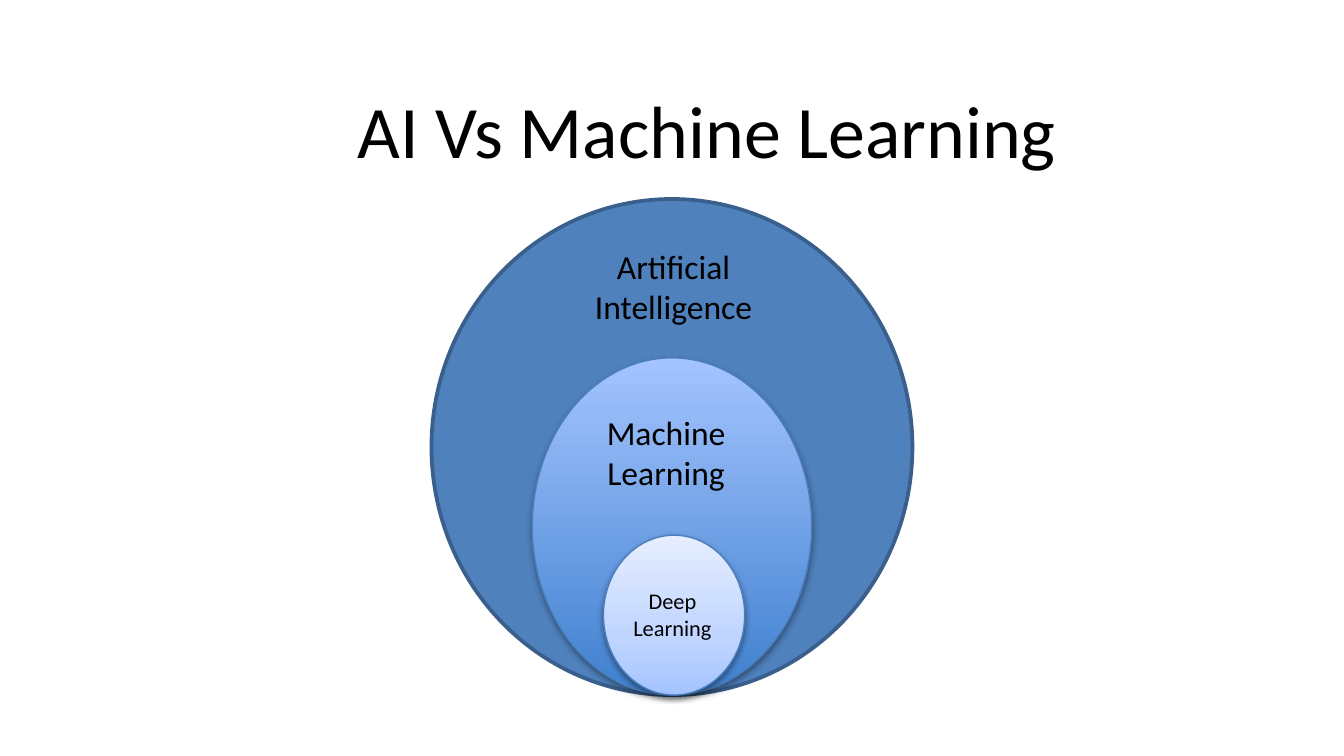
from lxml.etree import SubElement as Sub
from pptx import Presentation
from pptx.dml.color import RGBColor as RGB
from pptx.enum.shapes import MSO_SHAPE as Kind
from pptx.enum.text import MSO_ANCHOR as Anchor, MSO_AUTO_SIZE as Auto, PP_ALIGN as Align
from pptx.oxml.ns import qn
from pptx.util import Cm, Pt

TITLE = "AI Vs Machine Learning"
FONT, INK = "Calibri", "000000"
BASE = 13.13
RINGS = [
    dict(mid=12.7, size=(9.09, 9.37), stops=[(0, "4F81BD")], line=("3A5F8C", 2), shade=None),
    dict(mid=12.7, size=(5.28, 6.37), stops=[(0, "3F80CE"), (100, "A4C4FF")],
         line=("4B7EBC", 0.75), shade=(35, 1.8)),
    dict(mid=12.74, size=(2.67, 3.02), stops=[(0, "A4C4FF"), (35, "BFD4FF"), (100, "E6EEFF")],
         line=("4B7EBC", 0.75), shade=(38, 1.6)),
]
LABELS = [
    ("Artificial\nIntelligence", 12.73, 4.52, 4.01, 1.8, 18),
    ("Machine Learning", 12.59, 7.65, 2.92, 1.8, 18),
    ("Deep Learning", 12.71, 10.97, 2.67, 1.27, 12),
]


def color(code):
    return RGB.from_string(code)


def write(frame, text, size):
    frame.text = text
    frame.word_wrap = True
    for para in frame.paragraphs:
        para.alignment = Align.CENTER
        for run in para.runs:
            run.font.name, run.font.size = FONT, Pt(size)
            run.font.color.rgb = color(INK)


def tint(parent, code):
    return Sub(parent, qn("a:srgbClr"), val=code)


def blend(fill, stops):
    fill.gradient()
    fill.gradient_angle = 90
    rows = fill._xPr.find(qn("a:gradFill")).find(qn("a:gsLst"))
    for row in list(rows):
        rows.remove(row)
    for pos, code in stops:
        tint(Sub(rows, qn("a:gs"), pos=str(pos * 1000)), code)


def shadow(shape, alpha, dist):
    group = shape._element.spPr.find(qn("a:effectLst"))
    outer = Sub(group, qn("a:outerShdw"), blurRad=str(Pt(3.1)), dist=str(Pt(dist)),
                dir="5400000", rotWithShape="0")
    Sub(tint(outer, INK), qn("a:alpha"), val=str(alpha * 1000))


def draw(shapes, mid, size, stops, line, shade):
    wide, high = size
    ring = shapes.add_shape(Kind.OVAL, Cm(mid - wide / 2), Cm(BASE - high), Cm(wide), Cm(high))
    if len(stops) > 1:
        blend(ring.fill, stops)
    else:
        ring.fill.solid()
        ring.fill.fore_color.rgb = color(stops[0][1])
    ring.line.color.rgb, ring.line.width = color(line[0]), Pt(line[1])
    ring.shadow.inherit = False
    if shade:
        shadow(ring, *shade)


deck = Presentation()
deck.slide_width, deck.slide_height = Cm(25.4), Cm(14.28)
slide = deck.slides.add_slide(deck.slide_layouts[5])
shapes = slide.shapes

title = shapes.title
title.left, title.top, title.width, title.height = Cm(1.93), Cm(1.55), Cm(22.86), Cm(1.78)
write(title.text_frame, TITLE, 39.6)
title.text_frame.vertical_anchor = Anchor.MIDDLE
title.text_frame.auto_size = Auto.NONE

for ring in RINGS:
    draw(shapes, **ring)

for text, mid, top, wide, high, size in LABELS:
    box = shapes.add_textbox(Cm(mid - wide / 2), Cm(top), Cm(wide), Cm(high))
    write(box.text_frame, text, size)
    box.text_frame.auto_size = Auto.SHAPE_TO_FIT_TEXT

deck.save("out.pptx")
